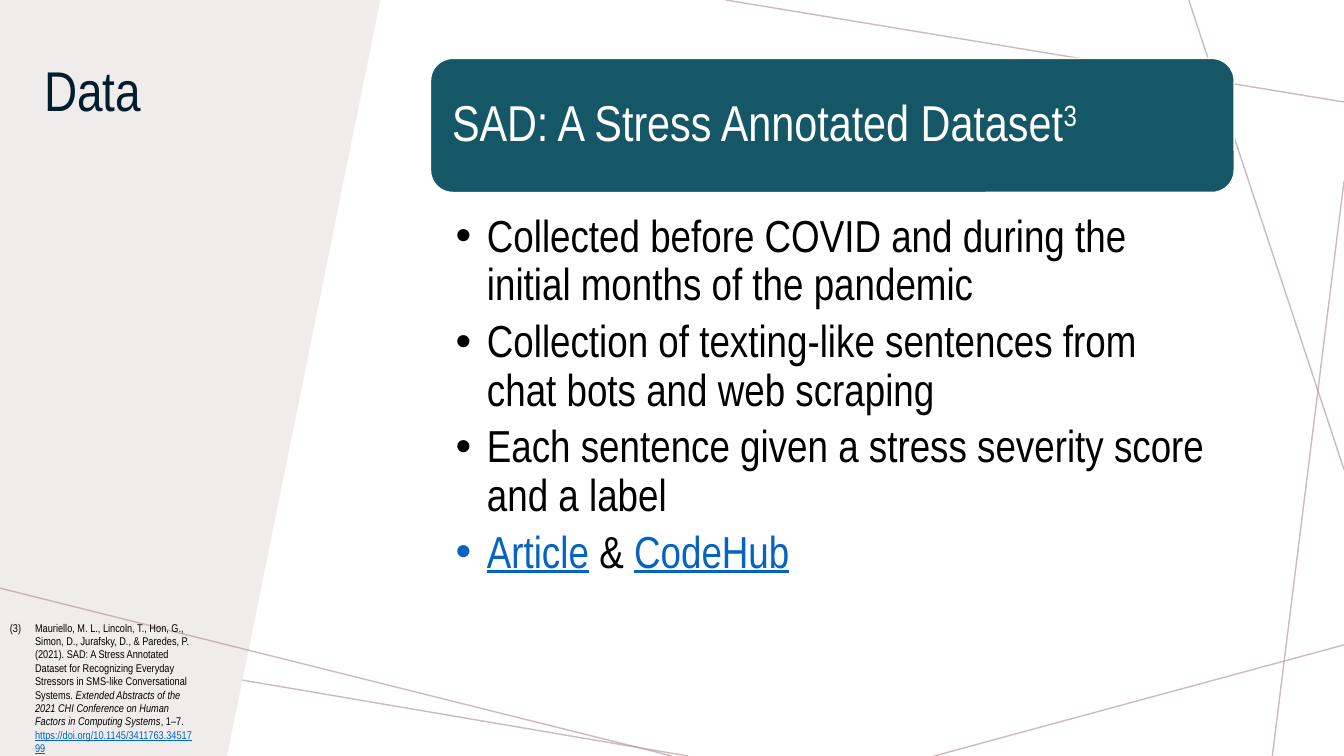
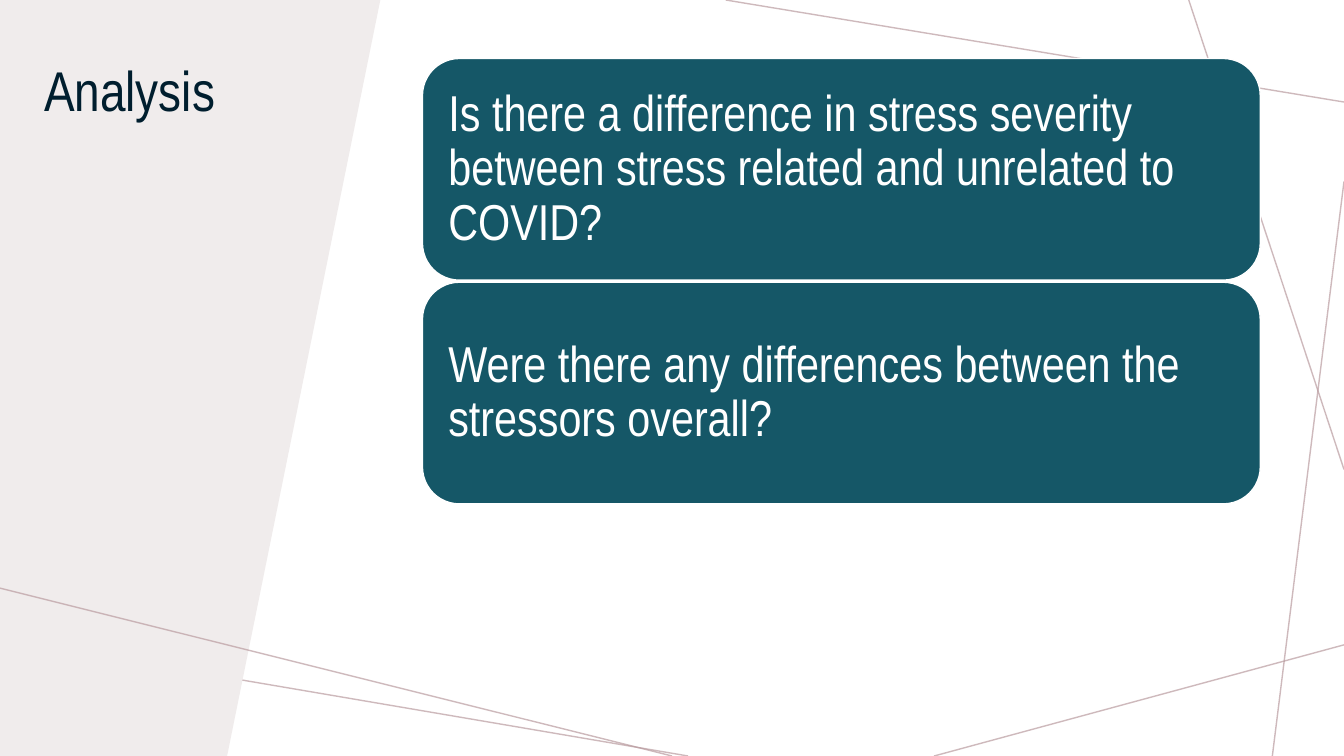
from lxml import etree
from pptx import Presentation
from pptx.dml.color import RGBColor
from pptx.enum.shapes import MSO_CONNECTOR, MSO_SHAPE
from pptx.enum.text import MSO_ANCHOR, PP_ALIGN
from pptx.oxml.ns import qn
from pptx.util import Inches, Pt

STRAIGHT = MSO_CONNECTOR.STRAIGHT
ROUNDED = MSO_SHAPE.ROUNDED_RECTANGLE
TOP, MIDDLE = MSO_ANCHOR.TOP, MSO_ANCHOR.MIDDLE
LEFT = PP_ALIGN.LEFT

FONT = "Arial Narrow"
COLORS = {
    "background": "FFFFFF",
    "line": "BA9CA0",
    "panel": "F0ECEC",
    "title": "001E2E",
    "card": "155767",
    "card_text": "FFFFFF",
    "body": "000000",
    "link": "0563C1",
}
LINK = {"color": "link", "underline": True}

# The slide is a grid of 100 columns by 100 rows
WIDTH, HEIGHT = Inches(13.33), Inches(7.5)
TITLE_BOX = (2.55, 7.73, 28.36, 25.87)
DATA_BOX = (32.03, 7.73, 59.8, 84.13)
QUESTIONS_BOX = (31.43, 7.73, 62.34, 58.93)
CITATION_BOX = (0, 81.47, 15.08, 18.53)
PANEL_POINTS = [(0, 0), (28.3, 0), (16.9, 100), (0, 100)]
BACK_LINES = [
    ((51.2, 100), (0, 84.5)),
    ((100, 85.3), (69.5, 100)),
    ((100, 24), (94.67, 100)),
    ((100, 62.1), (88.45, 0)),
    ((100, 13.5), (54, 0)),
]
FRONT_LINE = ((50, 100), (0, 77.8))


def columns(count):
    return round(WIDTH * count / 100)


def rows(count):
    return round(HEIGHT * count / 100)


def place(box):
    left, top, width, height = box
    return columns(left), rows(top), columns(width), rows(height)


def rgb(name):
    return RGBColor.from_string(COLORS[name])


def set_bullet(paragraph, indent, tag, **attributes):
    """Give a paragraph a hanging bullet or number."""
    properties = paragraph._p.get_or_add_pPr()
    properties.set("marL", str(Inches(indent)))
    properties.set("indent", str(-Inches(indent)))
    if tag == "a:buChar":
        etree.SubElement(properties, qn("a:buFont"), typeface="Arial")
    etree.SubElement(properties, qn(tag), **attributes)


def write_text(shape, paragraphs, size, color, anchor=TOP, insets=(0.1, 0.05),
               line_spacing=0.9, space_after=0, bullet=None):
    """Fill a shape with paragraphs, each a list of (text, format) runs."""
    frame = shape.text_frame
    frame.word_wrap = True
    frame.vertical_anchor = anchor
    frame.margin_left = frame.margin_right = Inches(insets[0])
    frame.margin_top = frame.margin_bottom = Inches(insets[1])
    for index, runs in enumerate(paragraphs):
        paragraph = frame.add_paragraph() if index else frame.paragraphs[0]
        paragraph.alignment = LEFT
        paragraph.line_spacing = line_spacing
        paragraph.space_after = Pt(space_after)
        if bullet:
            set_bullet(paragraph, **bullet)
        for text, style in runs:
            run = paragraph.add_run()
            run.text = text
            run.font.name = FONT
            run.font.size = Pt(size)
            run.font.color.rgb = rgb(style.get("color", color))
            run.font.underline = style.get("underline")
            run.font.italic = style.get("italic")
            if "baseline" in style:
                run._r.get_or_add_rPr().set("baseline", style["baseline"])


def add_text(slide, box, paragraphs, **text_format):
    write_text(slide.shapes.add_textbox(*place(box)), paragraphs, **text_format)


def add_line(slide, start, end):
    """Draw a thin translucent line."""
    connector = slide.shapes.add_connector(
        STRAIGHT, columns(start[0]), rows(start[1]), columns(end[0]), rows(end[1]))
    connector.line.width = Pt(1)
    connector.line.color.rgb = rgb("line")
    color = connector.line._ln.find(".//" + qn("a:srgbClr"))
    etree.SubElement(color, qn("a:alpha"), val="70000")
    etree.SubElement(connector._element.spPr, qn("a:effectLst"))


def add_panel(slide):
    """Draw the slanted panel on the left."""
    points = [(columns(x), rows(y)) for x, y in PANEL_POINTS]
    builder = slide.shapes.build_freeform(*points[0])
    builder.add_line_segments(points[1:], close=True)
    panel = builder.convert_to_shape()
    panel.shadow.inherit = False
    panel.fill.solid()
    panel.fill.fore_color.rgb = rgb("panel")
    panel.line.fill.background()


def add_card(slide, box, runs):
    """Draw a rounded card with its statement."""
    card = slide.shapes.add_shape(ROUNDED, *place(box))
    card.shadow.inherit = False
    card.fill.solid()
    card.fill.fore_color.rgb = rgb("card")
    card.line.color.rgb = rgb("background")
    card.line.width = Pt(1)
    write_text(card, [runs], size=36, color="card_text", anchor=MIDDLE,
               insets=(0.15, 0.15))


def add_base_slide(presentation, title):
    """Add a slide with the shared background and title."""
    slide = presentation.slides.add_slide(presentation.slide_layouts[6])
    slide.background.fill.solid()
    slide.background.fill.fore_color.rgb = rgb("background")
    for start, end in BACK_LINES:
        add_line(slide, start, end)
    add_panel(slide)
    add_text(slide, TITLE_BOX, [[(title, {})]], size=40, color="title")
    add_line(slide, *FRONT_LINE)
    return slide


def add_headed_list(slide, box, heading, items):
    """Place a heading card above a bulleted list."""
    left, top, width, height = box
    card_height, list_offset = 17.73, 20
    add_card(slide, (left, top, width, card_height), heading)
    add_text(slide, (left, top + list_offset, width, height - list_offset), items,
             size=32, color="body", insets=(0.25, 0.04), space_after=6,
             bullet={"indent": 0.31, "tag": "a:buChar", "char": "•"})


def add_card_stack(slide, box, statements, gap=0.27):
    """Share the height of a box among equal cards."""
    left, top, width, height = box
    card_height = (height - gap * (len(statements) - 1)) / len(statements)
    for index, statement in enumerate(statements):
        card_top = top + index * (card_height + gap)
        add_card(slide, (left, card_top, width, card_height), [(statement, {})])


def add_citation(slide, box, runs, number):
    """Place a small numbered reference."""
    add_text(slide, box, [runs], size=8, color="body", line_spacing=1,
             bullet={"indent": 0.25, "tag": "a:buAutoNum",
                     "type": "arabicParenBoth", "startAt": str(number)})


def build_data_slide(presentation):
    slide = add_base_slide(presentation, "Data")
    add_headed_list(
        slide, DATA_BOX,
        [("SAD: A Stress Annotated Dataset", {}), ("3", {"baseline": "30000"})],
        [
            [("Collected before COVID and during the initial months of the pandemic", {})],
            [("Collection of texting-like sentences from chat bots and web scraping", {})],
            [("Each sentence given a stress severity score and a label", {})],
            [("Article", LINK), (" & ", {}), ("CodeHub", LINK)],
        ])
    add_citation(slide, CITATION_BOX, [
        ("Mauriello, M. L., Lincoln, T., Hon, G., Simon, D., Jurafsky, D., & Paredes, P. "
         "(2021). SAD: A Stress Annotated Dataset for Recognizing Everyday Stressors in "
         "SMS-like Conversational Systems. ", {}),
        ("Extended Abstracts of the 2021 CHI Conference on Human Factors in Computing "
         "Systems", {"italic": True}),
        (", 1–7. ", {}),
        ("https://doi.org/10.1145/3411763.3451799", LINK),
    ], number=3)


def build_analysis_slide(presentation):
    slide = add_base_slide(presentation, "Analysis")
    add_card_stack(slide, QUESTIONS_BOX, [
        "Is there a difference in stress severity between stress related and "
        "unrelated to COVID?",
        "Were there any differences between the stressors overall?",
    ])


def main():
    presentation = Presentation()
    presentation.slide_width, presentation.slide_height = WIDTH, HEIGHT
    build_data_slide(presentation)
    build_analysis_slide(presentation)
    presentation.save("out.pptx")


if __name__ == "__main__":
    main()
